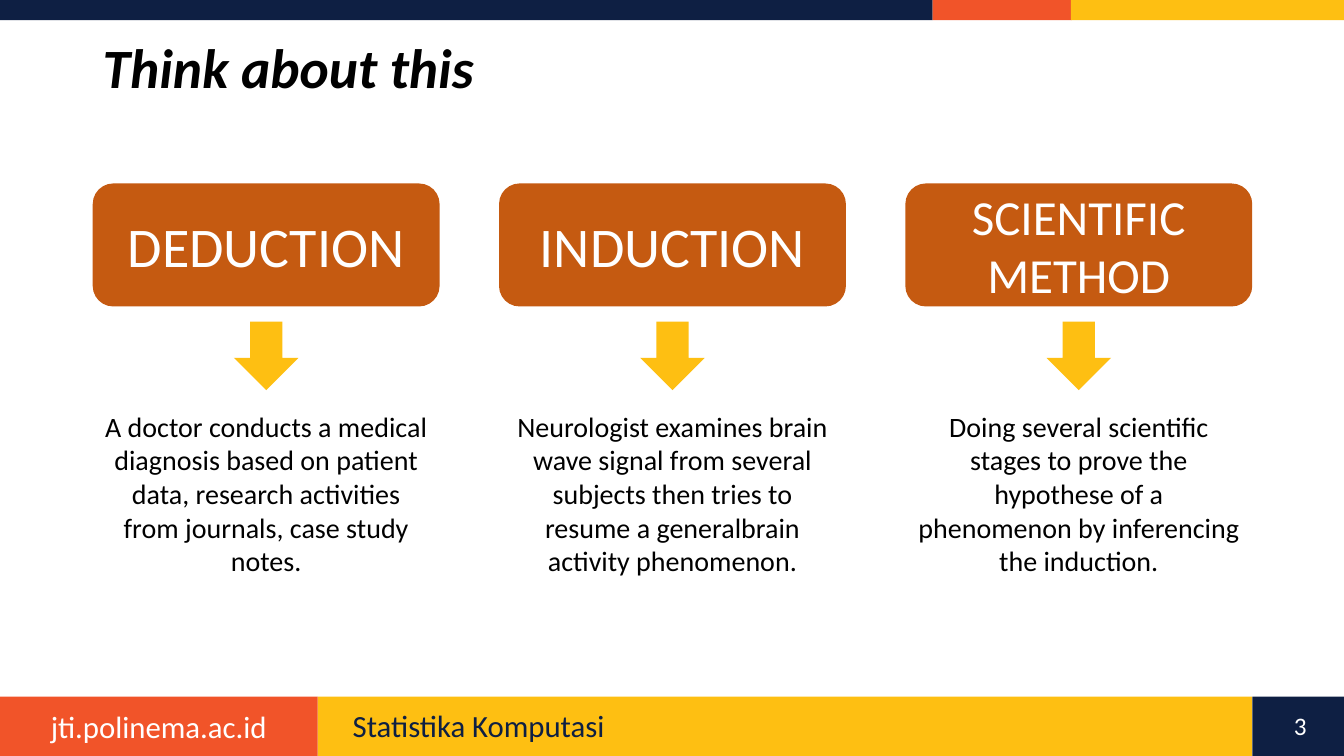
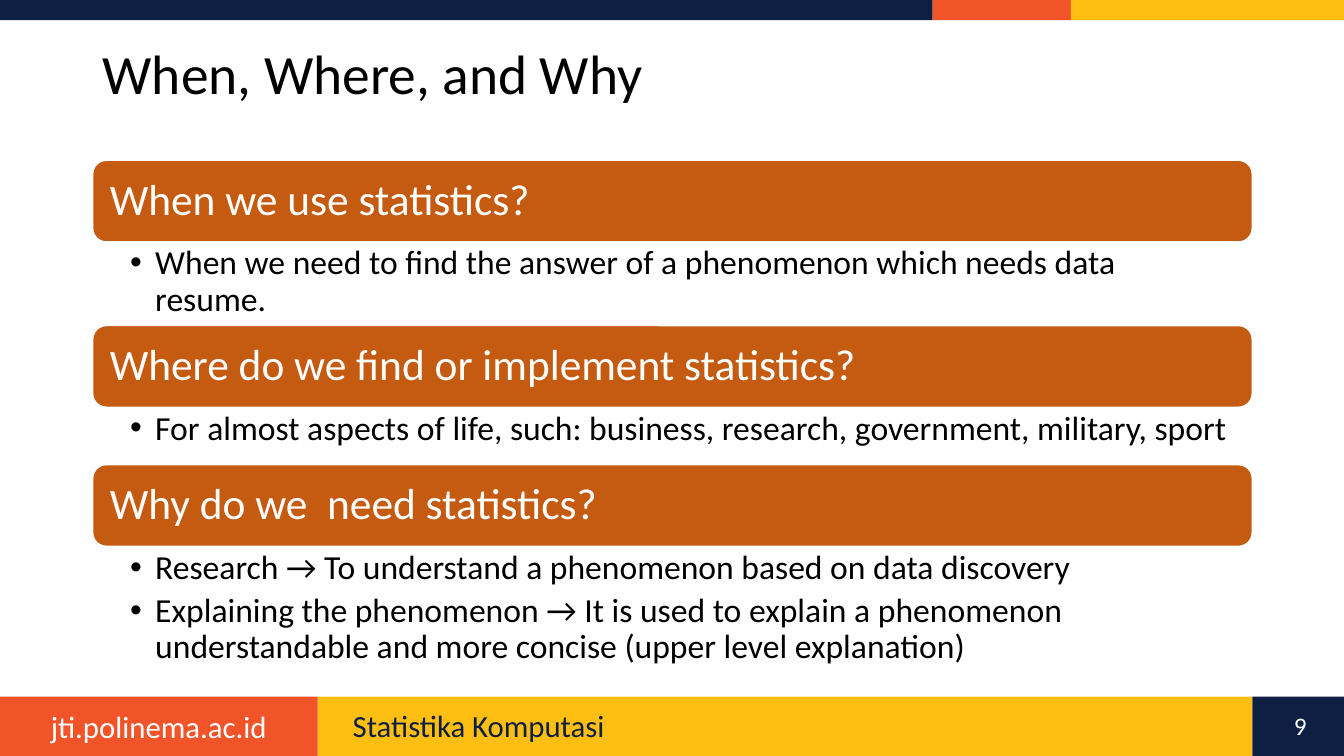
"""Build two statistics lecture slides with shared bands, footer and title style."""
from lxml.etree import SubElement
from pptx import Presentation
from pptx.dml.color import RGBColor
from pptx.enum.shapes import MSO_SHAPE
from pptx.enum.text import MSO_ANCHOR, PP_ALIGN
from pptx.oxml.ns import qn
from pptx.util import Inches, Pt

NAVY = RGBColor(0x0E, 0x1F, 0x43)
ORANGE = RGBColor(0xF1, 0x54, 0x29)
YELLOW = RGBColor(0xFE, 0xBF, 0x12)
RUST = RGBColor(0xC5, 0x5A, 0x11)
WHITE = RGBColor(0xFF, 0xFF, 0xFF)
BLACK = RGBColor(0x00, 0x00, 0x00)
FONT = "Calibri"

LEFT, WIDTH = 0.92, 11.5
BANDS = [
    (0, 0, 9.25, 0.2, NAVY),
    (9.25, 0, 1.38, 0.2, ORANGE),
    (10.62, 0, 2.71, 0.2, YELLOW),
    (3.15, 6.91, 9.27, 0.59, YELLOW),
    (0, 6.91, 3.15, 0.59, ORANGE),
    (12.42, 6.91, 0.92, 0.59, NAVY),
]

METHODS = [
    ("DEDUCTION", 40,
     "A doctor conducts a medical diagnosis based on patient data, "
     "research activities from journals, case study notes."),
    ("INDUCTION", 40,
     "Neurologist examines brain wave signal from several subjects then "
     "tries to resume a generalbrain activity phenomenon."),
    ("SCIENTIFIC METHOD", 35,
     "Doing several scientific stages to prove the hypothese of a "
     "phenomenon by inferencing the induction."),
]

QUESTIONS = [
    ("When we use statistics?", 0.83,
     ["When we need to find the answer of a phenomenon which needs data resume."]),
    ("Where do we find or implement statistics?", 0.57,
     ["For almost aspects of life, such: business, research, government, "
      "military, sport"]),
    ("Why do we  need statistics?", 1.3,
     ["Research → To understand a phenomenon based on data discovery",
      "Explaining the phenomenon → It is used to explain a phenomenon "
      "understandable and more concise (upper level explanation)"]),
]


def add_bullet(p):
    """Give a paragraph a round bullet with a hanging indent."""
    pPr = p._p.get_or_add_pPr()
    pPr.set("marL", str(Inches(0.25)))
    pPr.set("indent", str(-Inches(0.25)))
    SubElement(pPr, qn("a:buFont")).set("typeface", "Arial")
    SubElement(pPr, qn("a:buChar")).set("char", "•")


def write(sp, *lines, size=20, color=BLACK, bold=False, italic=False,
          align=PP_ALIGN.LEFT, anchor=MSO_ANCHOR.TOP, spacing=1.0, after=0,
          insets=(0.1, 0.05, 0.1, 0.05), bullet=False):
    """Write one paragraph per line into a shape."""
    tf = sp.text_frame
    tf.word_wrap = True
    tf.vertical_anchor = anchor
    tf.margin_left, tf.margin_top, tf.margin_right, tf.margin_bottom = map(Inches, insets)
    for i, line in enumerate(lines):
        p = tf.add_paragraph() if i else tf.paragraphs[0]
        p.alignment = align
        p.line_spacing = spacing
        p.space_after = Pt(after)
        if bullet:
            add_bullet(p)
        r = p.add_run()
        r.text = line
        r.font.name = FONT
        r.font.size = Pt(size)
        r.font.bold = bold
        r.font.italic = italic
        r.font.color.rgb = color


def add_text(s, x, y, w, h, *lines, **fmt):
    """Add a text box."""
    write(s.shapes.add_textbox(Inches(x), Inches(y), Inches(w), Inches(h)), *lines, **fmt)


def add_block(s, kind, x, y, w, h, fill, line=None):
    """Add a filled preset shape."""
    sp = s.shapes.add_shape(kind, Inches(x), Inches(y), Inches(w), Inches(h))
    sp.shadow.inherit = False
    sp.fill.solid()
    sp.fill.fore_color.rgb = fill
    if line is None:
        sp.line.fill.background()
    else:
        sp.line.color.rgb = line
        sp.line.width = Pt(1)
    return sp


def add_slide(prs, title, number, title_height, **title_fmt):
    """Add a slide with the shared bands, footer and title."""
    s = prs.slides.add_slide(prs.slide_layouts[6])
    for x, y, w, h, fill in BANDS:
        add_block(s, MSO_SHAPE.RECTANGLE, x, y, w, h, fill)
    add_text(s, 0, 6.97, 3.15, 0.47, "jti.polinema.ac.id", size=22, color=WHITE,
             align=PP_ALIGN.CENTER)
    add_text(s, 3.4, 7, 8.74, 0.4, "Statistika Komputasi", size=22, color=NAVY, spacing=0.9)
    add_text(s, 12.59, 7, 0.61, 0.4, str(number), size=18, color=WHITE,
             align=PP_ALIGN.CENTER)
    add_text(s, LEFT, 0.4, 10.24, title_height, title, size=39.6, spacing=0.9,
             anchor=MSO_ANCHOR.MIDDLE, **title_fmt)
    return s


def add_method(s, x, name, size, example):
    """Add a column: heading box, arrow and example."""
    w, arrow_w = 3.44, 0.64
    box = add_block(s, MSO_SHAPE.ROUNDED_RECTANGLE, x, 1.82, w, 1.22, RUST)
    write(box, name, size=size, color=WHITE, align=PP_ALIGN.CENTER, anchor=MSO_ANCHOR.MIDDLE)
    add_block(s, MSO_SHAPE.DOWN_ARROW, x + (w - arrow_w) / 2, 3.19, arrow_w, 0.68, YELLOW)
    add_text(s, x, 4.01, w, 1.78, example, align=PP_ALIGN.CENTER)


def add_question(s, y, question, answer_height, answers):
    """Add a question bar with its answers and return the next top."""
    bar_h = 0.81
    bar = add_block(s, MSO_SHAPE.ROUNDED_RECTANGLE, LEFT, y, WIDTH, bar_h, RUST, line=WHITE)
    write(bar, question, size=31, color=WHITE, anchor=MSO_ANCHOR.MIDDLE, spacing=0.9,
          insets=(0.13, 0.13, 0.13, 0.13))
    add_text(s, LEFT, y + bar_h, WIDTH, answer_height, *answers, size=24, spacing=0.9,
             after=4.8, insets=(0.37, 0.04, 0.24, 0.04), bullet=True)
    return y + bar_h + answer_height


def main():
    """Build and save the presentation."""
    prs = Presentation()
    prs.slide_width, prs.slide_height = Inches(13.33), Inches(7.5)

    s = add_slide(prs, "Think about this", 3, 0.6, bold=True, italic=True)
    for i, method in enumerate(METHODS):
        add_method(s, LEFT + i * 4.03, *method)

    s = add_slide(prs, "When, Where, and Why", 9, 0.72)
    y = 1.59
    for question in QUESTIONS:
        y = add_question(s, y, *question)

    prs.save("out.pptx")


if __name__ == "__main__":
    main()
